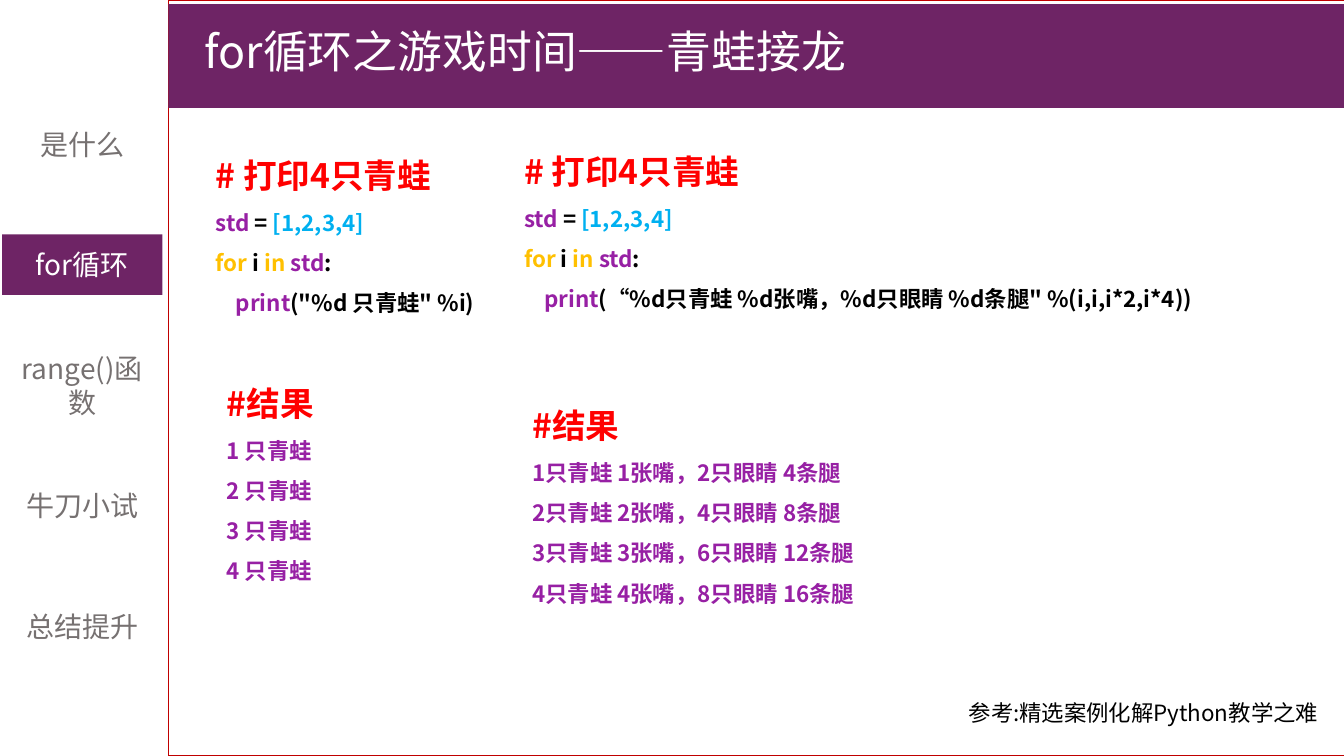
from lxml.etree import SubElement
from pptx import Presentation
from pptx.dml.color import RGBColor
from pptx.enum.shapes import MSO_SHAPE
from pptx.enum.text import MSO_ANCHOR, PP_ALIGN
from pptx.oxml.ns import qn
from pptx.util import Inches, Pt

FONT = "Noto Sans CJK SC"
COLORS = {
    "white": "FFFFFF", "plum": "6E2465", "gray": "767171", "border": "C00000",
    "red": "FF0000", "violet": "9720A4", "black": "000000",
    "blue": "00B0F0", "gold": "FFC000",
}
TITLE = "for循环之游戏时间——青蛙接龙"
SOURCE = "参考:精选案例化解Python教学之难"
TABS = ["是什么", "for循环", "range()函数", "牛刀小试", "总结提升"]
ACTIVE = "for循环"
HEAD = [("# 打印4只青蛙", "red")]
SETUP = [("std ", "violet"), ("=", "black"), (" [1,2,3,4]", "blue")]
LOOP = [("for ", "gold"), ("i ", "black"), ("in ", "gold"),
        ("std", "violet"), (":", "black")]
PRINTS = [
    '("%d 只青蛙" %i)',
    '(“%d只青蛙 %d张嘴，%d只眼睛 %d条腿" %(i,i,i*2,i*4))',
]
RESULTS = [
    ["1 只青蛙", "2 只青蛙", "3 只青蛙", "4 只青蛙"],
    ["1只青蛙 1张嘴，2只眼睛 4条腿", "2只青蛙 2张嘴，4只眼睛 8条腿",
     "3只青蛙 3张嘴，6只眼睛 12条腿", "4只青蛙 4张嘴，8只眼睛 16条腿"],
]
CODE_BOXES = [(2.04, 1.29, 3.09, 1.91), (5.1, 1.25, 8.32, 1.86)]
RESULT_BOXES = [(2.15, 3.55, 4.99, 2.26), (5.18, 3.77, 4.99, 2.26)]
WIDTH, HEIGHT = 13.33, 7.5
SIDE, MAIN = 1.67, 11.75
TAB_TOP, TAB_STEP = 1.13, 1.195
INDENT = 0.2

deck = Presentation()
deck.slide_width, deck.slide_height = Inches(WIDTH), Inches(HEIGHT)
slide = deck.slides.add_slide(deck.slide_layouts[6])


def color(name):
    return RGBColor.from_string(COLORS[name])


def add_runs(para, parts, size, bold=False):
    for text, tint in parts:
        run = para.add_run()
        run.text = text
        run.font.size = Pt(size)
        run.font.bold = bold
        run.font.color.rgb = color(tint)
        run.font.name = FONT
        SubElement(run.font._element, qn("a:ea"), typeface=FONT)


def add_rect(box, fill, line=None):
    shape = slide.shapes.add_shape(MSO_SHAPE.RECTANGLE, *map(Inches, box))
    shape.shadow.inherit = False
    shape.fill.solid()
    shape.fill.fore_color.rgb = color(fill)
    if line:
        shape.line.color.rgb = color(line)
        shape.line.width = Pt(1)
    else:
        shape.line.fill.background()
    return shape


def add_text(box, parts, size):
    frame = slide.shapes.add_textbox(*map(Inches, box)).text_frame
    frame.word_wrap = True
    add_runs(frame.paragraphs[0], parts, size)


def add_block(box, lines, inset=None):
    frame = slide.shapes.add_textbox(*map(Inches, box)).text_frame
    frame.word_wrap = True
    for row, parts in enumerate(lines):
        para = frame.add_paragraph() if row else frame.paragraphs[0]
        para.line_spacing = 1.5
        add_runs(para, parts, 16 if row else 24, True)
        if row == inset:
            props = para._p.get_or_add_pPr()
            props.set("marL", str(Inches(INDENT)))
            props.set("indent", "0")


add_rect((SIDE, 0, MAIN, HEIGHT), "white", "border")
add_rect((SIDE, 0.04, MAIN, 1.03), "plum")
add_text((1.93, 0.19, 8.06, 0.64), [(TITLE, "white")], 32)

for row, label in enumerate(TABS):
    chosen = label == ACTIVE
    tab = add_rect((0.02, TAB_TOP + row * TAB_STEP, 1.59, 0.6),
                   "plum" if chosen else "white")
    frame = tab.text_frame
    frame.word_wrap = True
    frame.vertical_anchor = MSO_ANCHOR.MIDDLE
    frame.paragraphs[0].alignment = PP_ALIGN.CENTER
    add_runs(frame.paragraphs[0], [(label, "white" if chosen else "gray")], 20)

for box, call in zip(CODE_BOXES, PRINTS):
    add_block(box, [HEAD, SETUP, LOOP,
                    [("print", "violet"), (call, "black")]], 3)

for box, lines in zip(RESULT_BOXES, RESULTS):
    add_block(box, [[("#结果", "red")]] + [[(line, "violet")] for line in lines])

add_text((9.51, 6.89, 3.9, 0.37), [(SOURCE, "black")], 16)

deck.save("out.pptx")
